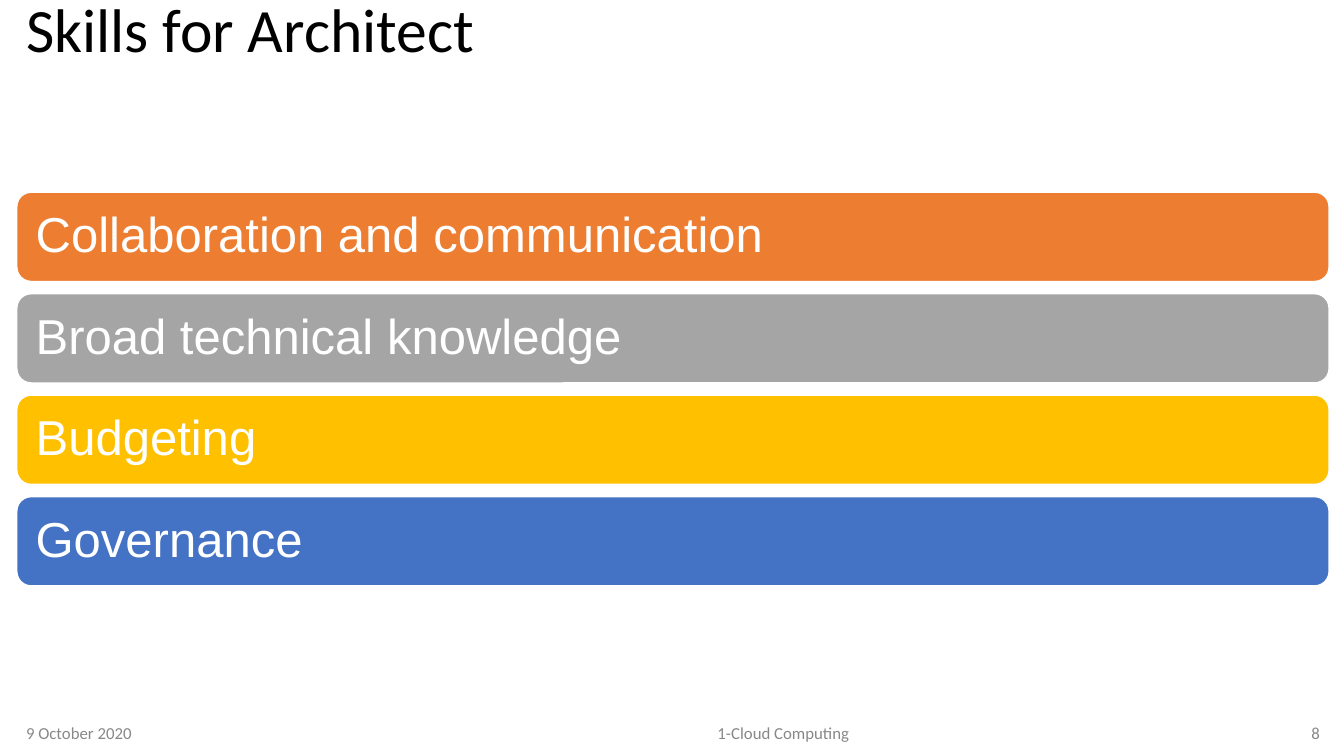
import dataclasses

import pptx
import pptx.dml.color
import pptx.enum.shapes
import pptx.enum.text
import pptx.util

Inches = pptx.util.Inches
ALIGN = pptx.enum.text.PP_ALIGN
COLORS = {
    "black": "000000", "white": "FFFFFF", "muted": "888888",
    "orange": "ED7D31", "gray": "A5A5A5", "gold": "FFC000", "blue": "4472C4",
}


@dataclasses.dataclass
class Skill:
    text: str
    fill: str


@dataclasses.dataclass
class Footer:
    text: str
    left: float
    width: float
    align: ALIGN


SKILLS = [
    Skill("Collaboration and communication", "orange"),
    Skill("Broad technical knowledge", "gray"),
    Skill("Budgeting", "gold"),
    Skill("Governance", "blue"),
]
FOOTERS = [
    Footer("9 October 2020", 0.16, 3, ALIGN.LEFT),
    Footer("1-Cloud Computing", 3.22, 9.1, ALIGN.CENTER),
    Footer("8", 12.4, 0.79, ALIGN.RIGHT),
]
LEFT, WIDTH = 0.16, 13.03
BAR_TOP, BAR_STEP, BAR_HEIGHT = 1.9, 3.02 / 3, 0.9


def color(name: str) -> pptx.dml.color.RGBColor:
    return pptx.dml.color.RGBColor.from_string(COLORS[name])


def write(shape, text: str, *, size: float, tint: str, font: str = "Calibri",
          align: ALIGN = ALIGN.LEFT, inset: tuple[float, float] = (0.1, 0.05),
          spacing: float = 1.0) -> None:
    frame = shape.text_frame
    frame.word_wrap = True
    frame.vertical_anchor = pptx.enum.text.MSO_ANCHOR.MIDDLE
    frame.margin_left = frame.margin_right = Inches(inset[0])
    frame.margin_top = frame.margin_bottom = Inches(inset[1])
    para = frame.paragraphs[0]
    para.alignment = align
    para.line_spacing = spacing
    run = para.add_run()
    run.text = text
    run.font.name = font
    run.font.size = pptx.util.Pt(size)
    run.font.color.rgb = color(tint)


def add_box(slide, left: float, top: float, width: float, height: float):
    return slide.shapes.add_textbox(
        Inches(left), Inches(top), Inches(width), Inches(height))


def add_bar(slide, skill: Skill, top: float) -> None:
    bar = slide.shapes.add_shape(
        pptx.enum.shapes.MSO_SHAPE.ROUNDED_RECTANGLE,
        Inches(LEFT), Inches(top), Inches(WIDTH), Inches(BAR_HEIGHT))
    bar.shadow.inherit = False
    bar.fill.solid()
    bar.fill.fore_color.rgb = color(skill.fill)
    bar.line.color.rgb = color("white")
    bar.line.width = pptx.util.Pt(2)
    write(bar, skill.text, size=35, tint="white", font="Arial",
          inset=(0.15, 0.15), spacing=0.9)


def main() -> None:
    deck = pptx.Presentation()
    deck.slide_width, deck.slide_height = Inches(13.33), Inches(7.5)
    slide = deck.slides.add_slide(deck.slide_layouts[6])

    # Title
    write(add_box(slide, LEFT, 0, WIDTH, 0.64), "Skills for Architect",
          size=44, tint="black", spacing=0.9)

    # Skill bars
    for row, skill in enumerate(SKILLS):
        add_bar(slide, skill, BAR_TOP + row * BAR_STEP)

    # Footer line
    for foot in FOOTERS:
        write(add_box(slide, foot.left, 7.07, foot.width, 0.4), foot.text,
              size=12, tint="muted", align=foot.align)

    deck.save("out.pptx")


if __name__ == "__main__":
    main()
